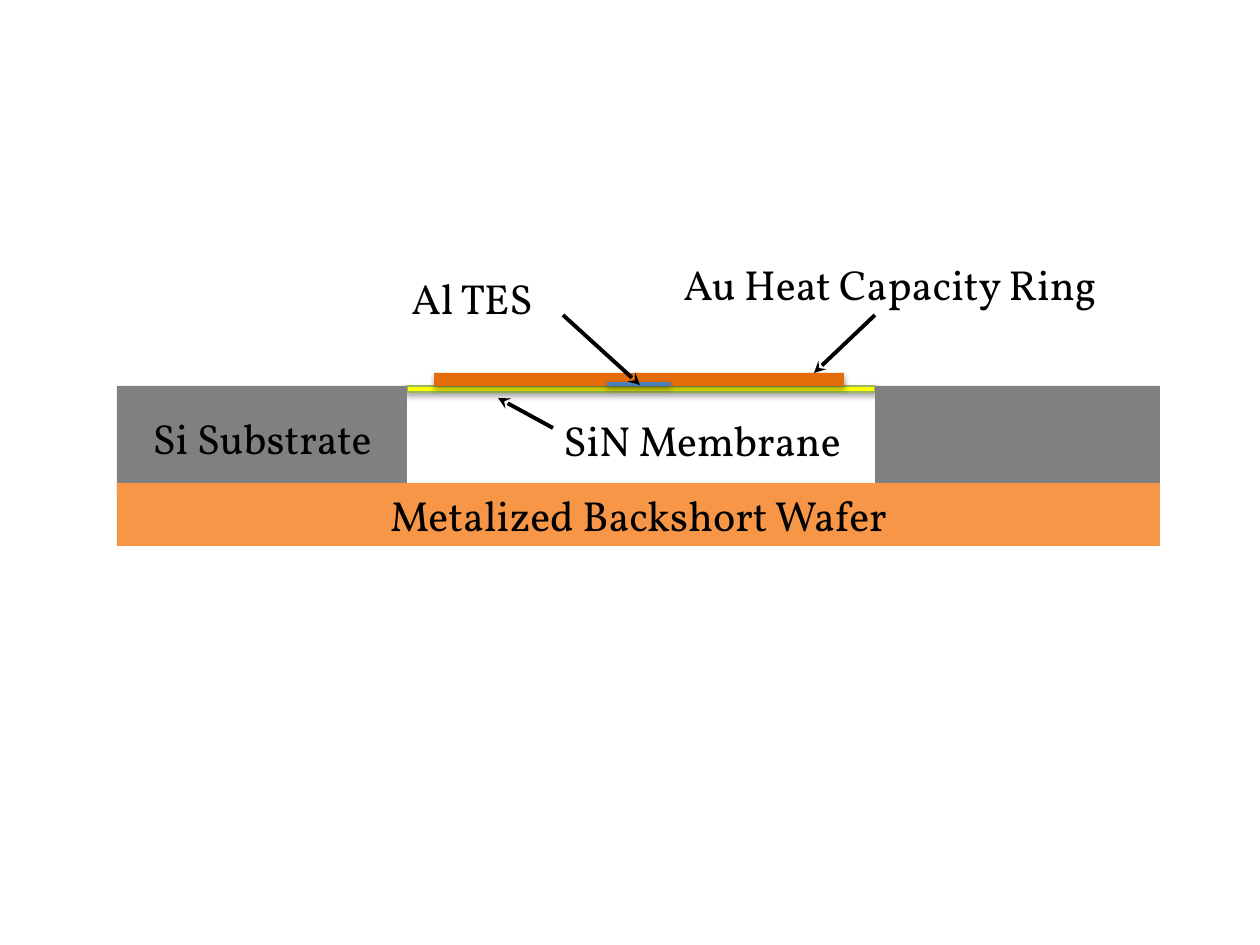
from lxml import etree
from pptx import Presentation
from pptx.dml.color import RGBColor
from pptx.enum.shapes import MSO_CONNECTOR, MSO_SHAPE
from pptx.enum.text import MSO_AUTO_SIZE, PP_ALIGN
from pptx.oxml.ns import qn
from pptx.util import Emu, Pt

RECT = MSO_SHAPE.RECTANGLE
STRAIGHT = MSO_CONNECTOR.STRAIGHT
FIT = MSO_AUTO_SIZE.SHAPE_TO_FIT_TEXT
LEFT, CENTER = PP_ALIGN.LEFT, PP_ALIGN.CENTER

BLACK = RGBColor(0x00, 0x00, 0x00)
GRAY = RGBColor(0x80, 0x80, 0x80)
YELLOW = RGBColor(0xFF, 0xFF, 0x00)
GREEN = RGBColor(0x98, 0xB9, 0x55)
GOLD = RGBColor(0xE4, 0x6C, 0x0A)
ORANGE = RGBColor(0xF7, 0x96, 0x46)
NAVY = RGBColor(0x2F, 0x5F, 0x99)
BLUE = RGBColor(0x3D, 0x7C, 0xC7)
EDGE = RGBColor(0x4B, 0x7E, 0xBC)

FONT = "Vollkorn"
SCALE = 914400 / 126  # EMU in one px


def px(n):
    return Emu(round(n * SCALE))


def add_shade(shape):
    effects = shape._element.spPr.find(qn("a:effectLst"))
    shade = etree.SubElement(effects, qn("a:outerShdw"), blurRad="40000",
                             dist="23000", dir="5400000", rotWithShape="0")
    color = etree.SubElement(shade, qn("a:srgbClr"), val=str(BLACK))
    etree.SubElement(color, qn("a:alpha"), val="35000")


def add_layer(slide, box, fill, line=None, shade=False):
    shape = slide.shapes.add_shape(RECT, *map(px, box))
    shape.shadow.inherit = False
    if isinstance(fill, list):
        shape.fill.gradient()
        shape.fill.gradient_angle = 90
        for stop, color, place in zip(shape.fill.gradient_stops, fill, (0, 0.8)):
            stop.color.rgb = color
            stop.position = place
    else:
        shape.fill.solid()
        shape.fill.fore_color.rgb = fill
    if line is None:
        shape.line.fill.background()
    else:
        shape.line.color.rgb = line
        shape.line.width = Pt(0.75)
    if shade:
        add_shade(shape)


def add_label(slide, text, box, align=LEFT):
    frame = slide.shapes.add_textbox(*map(px, box)).text_frame
    frame.word_wrap = True
    frame.auto_size = FIT
    para = frame.paragraphs[0]
    para.text = text
    para.alignment = align
    para.font.name = FONT
    para.font.size = Pt(24)
    para.font.color.rgb = BLACK


def add_arrow(slide, start, end):
    arrow = slide.shapes.add_connector(STRAIGHT, *map(px, start + end))
    arrow.line.color.rgb = BLACK
    arrow.line.width = Pt(2.25)
    props = arrow._element.spPr
    etree.SubElement(props.find(qn("a:ln")), qn("a:tailEnd"), type="stealth")
    etree.SubElement(props, qn("a:effectLst"))


def main():
    deck = Presentation()
    deck.slide_width, deck.slide_height = px(1260), px(945)
    slide = deck.slides.add_slide(deck.slide_layouts[6])

    # Edges shared by the layers
    left, right = 117, 1160
    inner, outer = 407, 875
    top, base = 386, 483
    high = 63

    # Membrane between the two substrate walls
    add_layer(slide, (inner, top, outer - inner, 6), YELLOW, GREEN, True)
    for start, end in ((outer, right), (left, inner)):
        add_layer(slide, (start, top, end - start, 106), GRAY)
    add_label(slide, "Si Substrate", (left, 406, inner - left, high), CENTER)
    add_label(slide, "SiN Membrane", (551, 408, 321, high))
    add_arrow(slide, (553, 428), (498, 398))

    # Ring and sensor on the membrane
    add_layer(slide, (434, 373, 410, 13), GOLD, shade=True)
    add_layer(slide, (608, 383, 62, 2), [NAVY, BLUE], EDGE, True)

    # Wafer below
    wafer = (left, base, right - left, high)
    add_layer(slide, wafer, ORANGE)
    add_label(slide, "Metalized Backshort Wafer", wafer, CENTER)

    # Callouts above
    add_label(slide, "Au Heat Capacity Ring", (671, 252, 496, high))
    add_arrow(slide, (875, 315), (814, 373))
    add_label(slide, "Al TES", (399, 266, 176, high))
    add_arrow(slide, (563, 315), (640, 385))

    deck.save("out.pptx")


if __name__ == "__main__":
    main()
